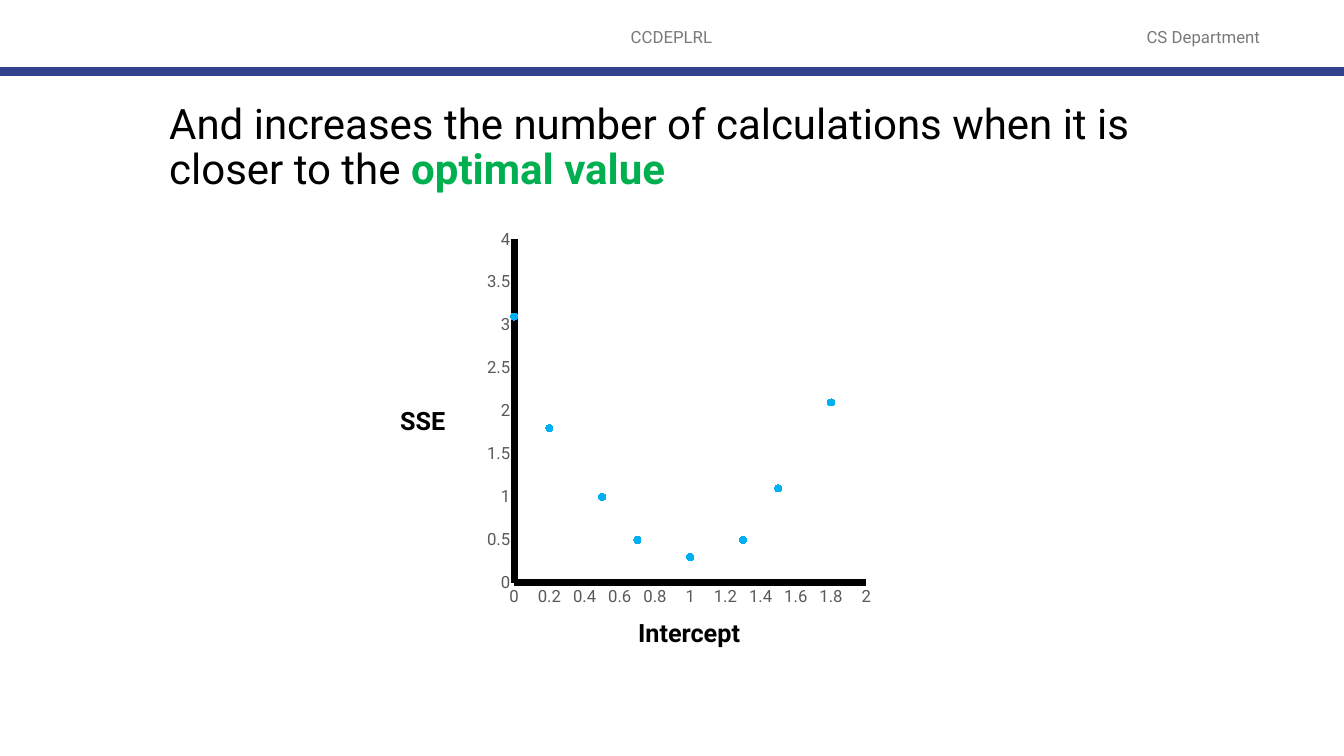
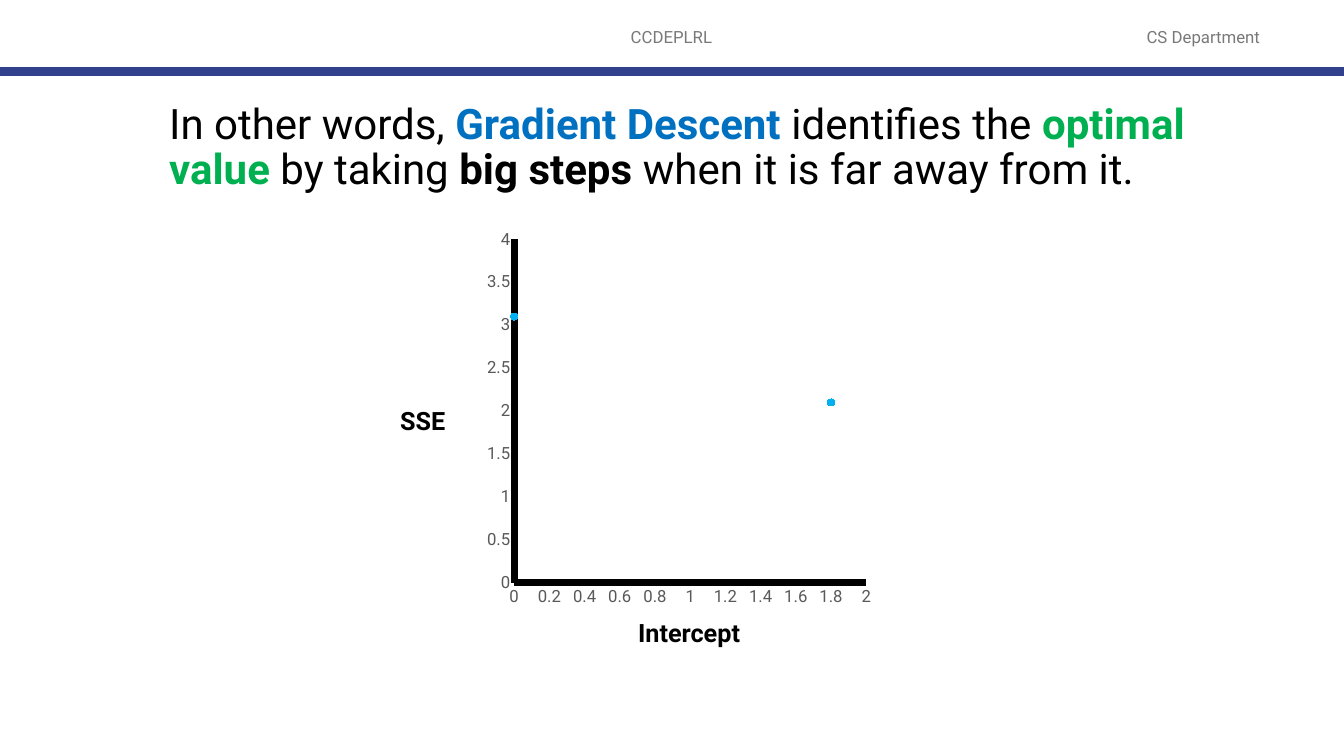
from lxml import etree
from pptx import Presentation
from pptx.chart.data import XyChartData
from pptx.dml.color import RGBColor
from pptx.enum.chart import XL_CHART_TYPE, XL_MARKER_STYLE, XL_TICK_MARK
from pptx.enum.shapes import MSO_CONNECTOR
from pptx.enum.text import MSO_ANCHOR, PP_ALIGN
from pptx.oxml.ns import qn
from pptx.util import Inches, Pt

SCATTER = XL_CHART_TYPE.XY_SCATTER
CIRCLE = XL_MARKER_STYLE.CIRCLE
NO_TICK = XL_TICK_MARK.NONE
STRAIGHT = MSO_CONNECTOR.STRAIGHT
TOP, MIDDLE = MSO_ANCHOR.TOP, MSO_ANCHOR.MIDDLE
LEFT, CENTER = PP_ALIGN.LEFT, PP_ALIGN.CENTER

FONT = "Roboto"
BLACK, GREY, AXIS_GREY = "000000", "797979", "595959"
NAVY, BLUE, GREEN, CYAN = "32418C", "0070C0", "00B050", "00B0F0"
WIDTH, HEIGHT = 13.33, 7.5
PLOT_AREA = {"x": 0.07, "y": 0.03, "w": 0.92, "h": 0.9}

SSE_POINTS = [(0, 3.1), (0.2, 1.8), (0.5, 1), (0.7, 0.5),
              (1, 0.3), (1.3, 0.5), (1.5, 1.1), (1.8, 2.1)]
# Only the two outer steps are placed; the second has no intercept yet.
FAR_POINTS = [(0, 3.1), (None, 1.8), *[(None, None)] * 5, (1.8, 2.1)]


def rgb(color):
    return RGBColor.from_string(color)


class Deck:
    """Holds the presentation, its style and the current slide."""

    def __init__(self):
        self.prs = Presentation()
        self.prs.slide_width = Inches(WIDTH)
        self.prs.slide_height = Inches(HEIGHT)
        self.slide = None

    def add_slide(self):
        """Start a slide with the shared header band."""
        self.slide = self.prs.slides.add_slide(self.prs.slide_layouts[6])
        for left, width, label in ((4.41, 4.5, "CCDEPLRL"),
                                   (10.91, 2.05, "CS Department")):
            self.text(left, 0.17, width, 0.4, [(label, GREY, False)], 12,
                      CENTER, MIDDLE)
        self.rule(0.71, NAVY, 6)

    def rule(self, top, color, weight):
        """Draw a horizontal line across the slide."""
        sp = self.slide.shapes.add_connector(
            STRAIGHT, 0, Inches(top), Inches(WIDTH), Inches(top))
        sp.line.color.rgb = rgb(color)
        sp.line.width = Pt(weight)
        etree.SubElement(sp._element.spPr, qn("a:effectLst"))

    def text(self, left, top, width, height, runs, size,
             align=LEFT, anchor=TOP, spacing=1.0):
        """Add a text box; runs are (text, color, bold) tuples."""
        sp = self.slide.shapes.add_textbox(
            Inches(left), Inches(top), Inches(width), Inches(height))
        tf = sp.text_frame
        tf.word_wrap = True
        tf.vertical_anchor = anchor
        p = tf.paragraphs[0]
        p.alignment = align
        p.line_spacing = spacing
        for content, color, bold in runs:
            r = p.add_run()
            r.text = content
            r.font.name = FONT
            r.font.size = Pt(size)
            r.font.bold = bold
            r.font.color.rgb = rgb(color)

    def title(self, runs):
        self.text(1.58, 0.97, 10.6, 0.91, runs, 30, spacing=0.9)

    def axis(self, axis, maximum, step):
        axis.minimum_scale = 0
        axis.maximum_scale = maximum
        axis.major_unit = step
        axis.has_major_gridlines = False
        axis.major_tick_mark = axis.minor_tick_mark = NO_TICK
        axis.format.line.color.rgb = rgb(BLACK)
        axis.format.line.width = Pt(5)
        font = axis.tick_labels.font
        font.name = FONT
        font.size = Pt(12)
        font.color.rgb = rgb(AXIS_GREY)

    def plot_layout(self, chart):
        """Fix the inner plot area as fractions of the chart."""
        area = chart._chartSpace.chart.plotArea
        for old in area.findall(qn("c:layout")):
            area.remove(old)
        layout = etree.Element(qn("c:layout"))
        area.insert(0, layout)
        manual = etree.SubElement(layout, qn("c:manualLayout"))
        settings = {"layoutTarget": "inner", "xMode": "edge",
                    "yMode": "edge", **PLOT_AREA}
        for tag, value in settings.items():
            etree.SubElement(manual, qn(f"c:{tag}"), val=str(value))

    def scatter(self, points):
        """Add the SSE chart with its two axis captions."""
        data = XyChartData()
        series_data = data.add_series("Series 1")
        for x, y in points:
            series_data.add_data_point(x, y)
        chart = self.slide.shapes.add_chart(
            SCATTER, Inches(4.83), Inches(2.26), Inches(3.81), Inches(3.79),
            data).chart
        chart.has_title = False
        chart.has_legend = False
        chart.font.name = FONT
        chart.font.size = Pt(10)
        chart.font.color.rgb = rgb(BLACK)
        self.plot_layout(chart)
        self.axis(chart.category_axis, 2, 0.2)
        self.axis(chart.value_axis, 4, 0.5)
        plot = chart.plots[0]
        plot.vary_by_categories = False
        series = plot.series[0]
        series.format.line.fill.background()
        marker = series.marker
        marker.style = CIRCLE
        marker.size = 5
        marker.format.fill.solid()
        marker.format.fill.fore_color.rgb = rgb(CYAN)
        marker.format.line.color.rgb = rgb(CYAN)
        self.text(6.23, 6.08, 1.35, 0.4, [("Intercept", BLACK, True)], 18)
        self.text(3.87, 3.97, 0.96, 0.4, [("SSE", BLACK, True)], 18)


def main():
    deck = Deck()

    deck.add_slide()
    deck.scatter(SSE_POINTS)
    deck.title([
        ("And increases the number of calculations when it is closer to the ",
         BLACK, False),
        ("optimal value", GREEN, True),
    ])

    deck.add_slide()
    deck.scatter(FAR_POINTS)
    deck.title([
        ("In other words, ", BLACK, False),
        ("Gradient Descent ", BLUE, True),
        ("identifies the ", BLACK, False),
        ("optimal value", GREEN, True),
        (" by taking ", BLACK, False),
        ("big steps ", BLACK, True),
        ("when it is far away from it.", BLACK, False),
    ])

    deck.prs.save("out.pptx")


if __name__ == "__main__":
    main()
